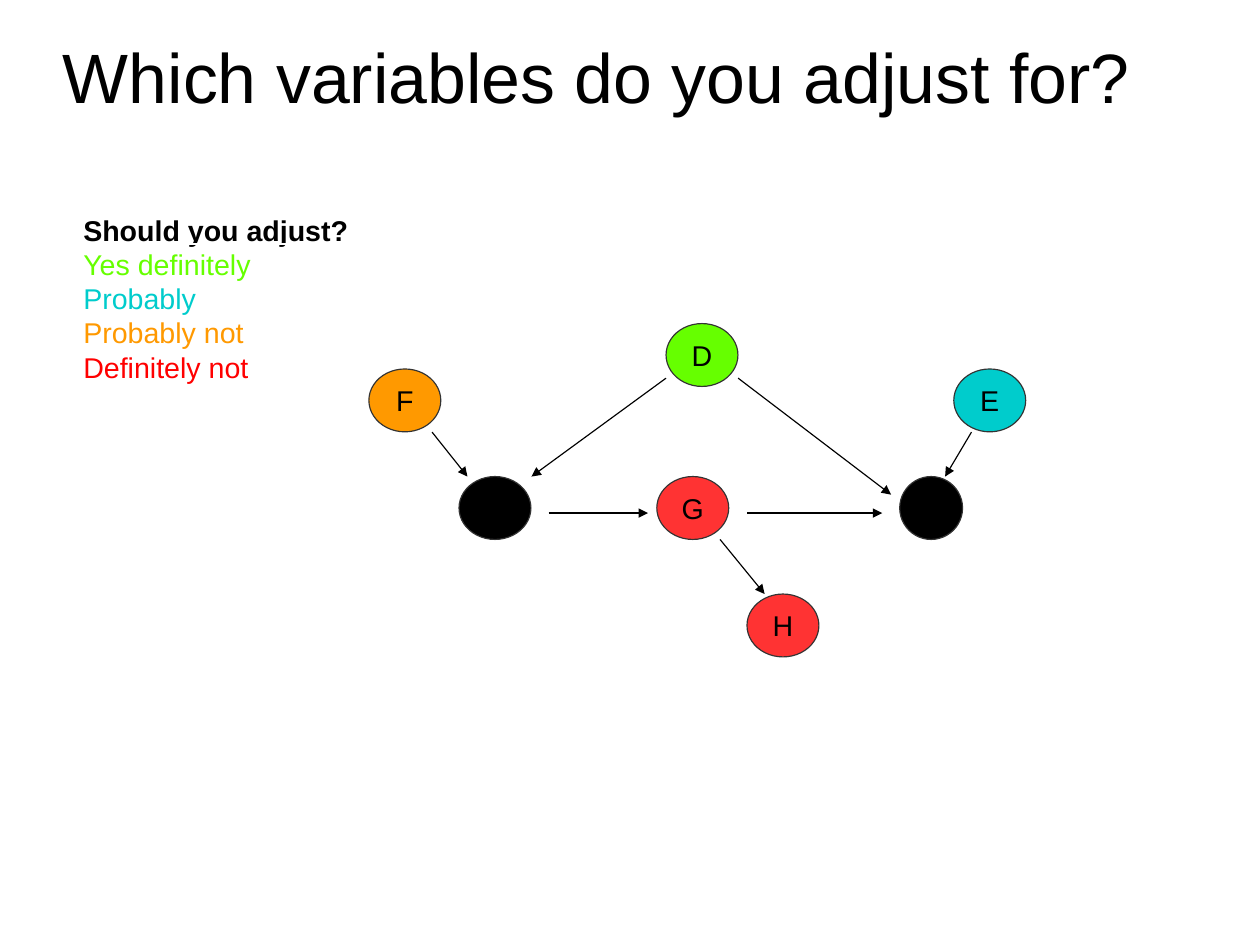
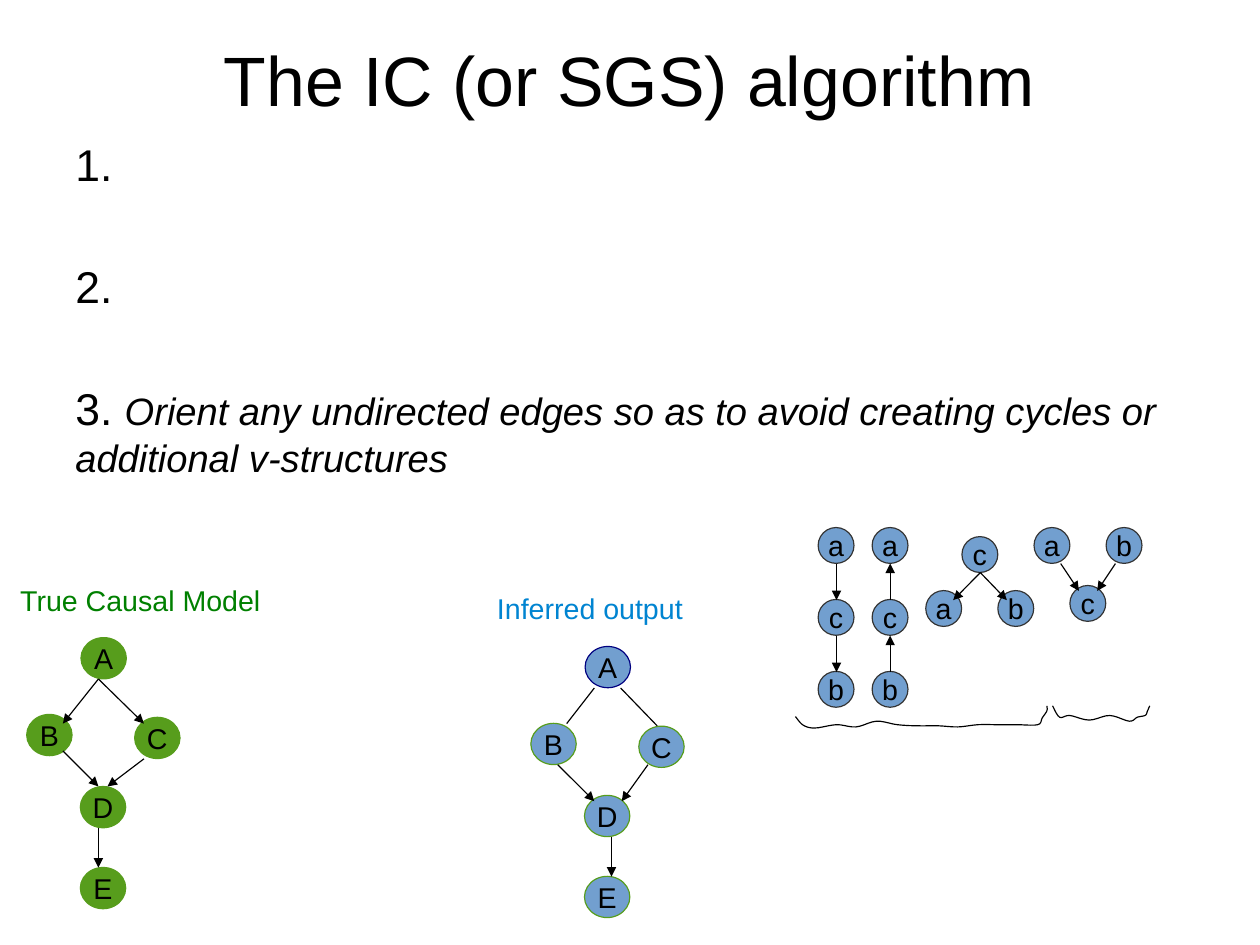
from lxml import etree
from pptx import Presentation
from pptx.dml.color import RGBColor
from pptx.enum.shapes import MSO_CONNECTOR, MSO_SHAPE
from pptx.enum.text import MSO_ANCHOR, PP_ALIGN
from pptx.oxml.ns import qn
from pptx.util import Pt

FONT = "Arial"
THIN = Pt(0.75)
COLORS = {
    "black": "000000", "white": "FFFFFF", "outline": "333333",
    "yes": "66FF00", "probably": "00CCCC", "unlikely": "FF9900",
    "never": "FF0000", "red node": "FF3333",
    "green": "579D1C", "blue": "729FCF", "navy": "000080",
    "green label": "008000", "blue label": "0084D1",
}
COLORS = {name: RGBColor.from_string(code) for name, code in COLORS.items()}


def write(frame, text, size=18, color="black", bold=False, italic=False,
          align=PP_ALIGN.LEFT, before=None, same_line=False):
    """Add a run, in a new paragraph unless the frame is empty or same_line is set."""
    para = frame.paragraphs[-1]
    if para.runs and not same_line:
        para = frame.add_paragraph()
    if not same_line:
        para.alignment = align
        para.space_before = before
    span = para.add_run()
    span.text = text
    span.font.name, span.font.size = FONT, Pt(size)
    span.font.bold, span.font.italic = bold, italic
    span.font.color.rgb = COLORS[color]
    return span


def add_edge(page, start, end, arrow=True):
    """Draw a thin line between two points, with an arrowhead at its end."""
    edge = page.shapes.add_connector(
        MSO_CONNECTOR.STRAIGHT, *[Pt(value) for value in (*start, *end)])
    edge.line.color.rgb = COLORS["black"]
    edge.line.width = THIN
    properties = edge._element.spPr
    if arrow:
        etree.SubElement(properties.find(qn("a:ln")), qn("a:tailEnd"), type="triangle")
    etree.SubElement(properties, qn("a:effectLst"))


deck = Presentation()
deck.slide_width, deck.slide_height = Pt(793.75), Pt(595.25)

# Pages and titles
pages = []
for title, top, align in [
    ("Which variables do you adjust for?", -2, PP_ALIGN.LEFT),
    ("The IC (or SGS) algorithm", 0, PP_ALIGN.CENTER),
]:
    page = deck.slides.add_slide(deck.slide_layouts[6])
    frame = page.shapes.add_textbox(Pt(39.6), Pt(top), Pt(714.2), Pt(99.2)).text_frame
    frame.word_wrap = True
    frame.vertical_anchor = MSO_ANCHOR.MIDDLE
    frame.margin_left = frame.margin_right = frame.margin_top = frame.margin_bottom = 0
    write(frame, title, size=44, align=align)
    pages.append(page)
adjust_page, algorithm_page = pages

# Body text boxes
frames = {}
for name, page, left, top, width, height in [
    ("legend", adjust_page, 45.4, 130.3, 221, 128),
    ("steps", algorithm_page, 40.4, 82.6, 713.5, 294),
    ("true model", algorithm_page, 5.6, 363.7, 181.5, 27.5),
    ("inferred", algorithm_page, 306, 368.7, 170, 27.5),
]:
    box = page.shapes.add_textbox(Pt(left), Pt(top), Pt(width), Pt(height))
    frames[name] = box.text_frame
    frames[name].word_wrap = True

# Legend, whose heading has a white underline
heading = write(frames["legend"], "Should you adjust?", bold=True)
heading.font.underline = True
underline = etree.Element(qn("a:uFill"))
fill = etree.SubElement(underline, qn("a:solidFill"))
etree.SubElement(fill, qn("a:srgbClr"), val=str(COLORS["white"]))
heading.font._element.find(qn("a:latin")).addprevious(underline)
for answer, color in [("Yes definitely", "yes"), ("Probably", "probably"),
                      ("Probably not", "unlikely"), ("Definitely not", "never")]:
    write(frames["legend"], answer, color=color)

# Steps of the algorithm
for number, before in [("1.", None), ("2.", Pt(43.3)), ("3. ", Pt(43.3))]:
    write(frames["steps"], number, size=28, before=before)
write(frames["steps"], "Orient any undirected edges so as to avoid creating cycles "
      "or additional v-structures", size=24, italic=True, same_line=True)

# Model labels
write(frames["true model"], "True Causal Model", color="green label")
write(frames["inferred"], "Inferred output", color="blue label")

# Nodes: page, letter, left, top, width, height, fill, outline
nodes = [
    (adjust_page, letter, left, top, width, 39.6, color, "outline")
    for letter, left, top, width, color in [
        ("", 566.8, 300.2, 39.6, "black"), ("", 289.2, 300.2, 45.3, "black"),
        ("D", 419.6, 203.8, 45.3, "yes"), ("E", 600.9, 232.4, 45.3, "probably"),
        ("F", 232.4, 232.4, 45.3, "unlikely"), ("G", 413.8, 300.2, 45.3, "red node"),
        ("H", 470.6, 374.2, 45.3, "red node"),
    ]
]
for dx, dy, color, top_outline in [(0, 0, "green", "green"), (317.6, 5.6, "blue", "navy")]:
    for letter, left, top in [("A", 51, 401.6), ("B", 16.8, 450), ("C", 84.8, 451.8),
                              ("D", 50.6, 495.4), ("E", 50.6, 546.4)]:
        outline = top_outline if letter == "A" else "green"
        nodes.append((algorithm_page, letter, left + dx, top + dy, 28.6, 26, color, outline))
triples = [(letter, left, 332.3 + 45.3 * row)
           for left in (515.4, 549.4) for row, letter in enumerate("acb")]
triples += [("a", 583.2, 372), ("c", 606, 338), ("b", 628.6, 372),
            ("a", 651.4, 332.3), ("b", 696.8, 332.3), ("c", 674, 368.8)]
nodes += [(algorithm_page, letter, left, top, 22.6, 22.6, "blue", "outline")
          for letter, left, top in triples]

for page, letter, left, top, width, height, color, outline in nodes:
    node = page.shapes.add_shape(
        MSO_SHAPE.OVAL, Pt(left), Pt(top), Pt(width), Pt(height))
    node.shadow.inherit = False
    node.fill.solid()
    node.fill.fore_color.rgb = COLORS[color]
    node.line.color.rgb = COLORS[outline]
    node.line.width = THIN
    if letter:
        node.text_frame.word_wrap = False
        node.text_frame.vertical_anchor = MSO_ANCHOR.MIDDLE
        write(node.text_frame, letter, align=PP_ALIGN.CENTER)

# Arrows of the adjustment graph
for start, end in [
    ((345.6, 323.2), (408.2, 323.2)), ((470.8, 323.2), (555.8, 323.2)),
    ((419.6, 238.2), (334.8, 300.2)), ((465, 238.2), (561.4, 311.6)),
    ((612, 272.2), (595.4, 300.2)), ((272.2, 272.2), (294.5, 300.2)),
    ((453.6, 339.8), (481.7, 374.2)),
]:
    add_edge(adjust_page, start, end)

# Arrows of the two models and of the three-node patterns
for start, end in [
    ((62, 427.7), (39.6, 455.8)), ((62, 427.7), (90.7, 455.8)),
    ((90.7, 478), (67.7, 495.4)), ((39.6, 473), (62, 495.4)),
    ((62, 521.3), (62, 546.5)),
    ((351.4, 481.7), (374.4, 504.7)), ((408.2, 481.7), (391.7, 504.7)),
    ((385.2, 527), (385.2, 552.2)),
    ((617.6, 360.7), (600.5, 378)), ((617.6, 360.7), (634.3, 378)),
    ((668.2, 355), (679.7, 372.2)), ((702.7, 355), (691.2, 372.2)),
]:
    add_edge(algorithm_page, start, end)
for upper, lower in [(355, 378), (400.4, 423.4)]:
    add_edge(algorithm_page, (527, upper), (527, lower))
    add_edge(algorithm_page, (560.8, lower), (560.8, upper))

# Undirected edges of the inferred model
for start, end in [((391, 433.4), (414, 457.2)), ((374.4, 433.4), (357, 455.8))]:
    add_edge(algorithm_page, start, end, arrow=False)

# Hand-drawn braces: a smooth curve through each list of knots
for knots in [
    [(501.1, 451.4), (506, 456.8), (513.4, 458.6), (527, 456.5), (539.3, 457.9),
     (552.2, 454.3), (565.2, 456.5), (577.4, 457.2), (591.1, 457.2), (603.4, 457.9),
     (616.3, 456.5), (628.6, 456.5), (640.8, 456.5), (653.8, 456.5), (656.6, 452.2),
     (659.5, 447.8), (659.5, 444.6)],
    [(663.1, 444.6), (667.5, 451.8), (673.9, 450.7), (686.2, 453.6), (699.1, 450.7),
     (711.4, 454.3), (716.5, 451.8), (721.5, 450.6), (722.9, 447.8), (724.3, 444.6)],
]:
    points = []
    padded = [knots[0], *knots, knots[-1]]
    for quad in zip(padded, padded[1:], padded[2:], padded[3:]):
        for step in range(1, 6):
            t = step / 5
            points.append(tuple(
                Pt(b + t * (c - a) / 2 + t ** 2 * (2 * a - 5 * b + 4 * c - d) / 2
                   + t ** 3 * (3 * b - a - 3 * c + d) / 2)
                for a, b, c, d in zip(*quad)))
    builder = algorithm_page.shapes.build_freeform(*[Pt(value) for value in knots[0]])
    builder.add_line_segments(points, close=False)
    brace = builder.convert_to_shape()
    brace.shadow.inherit = False
    brace.fill.background()
    brace.line.color.rgb = COLORS["black"]
    brace.line.width = THIN

deck.save("out.pptx")
